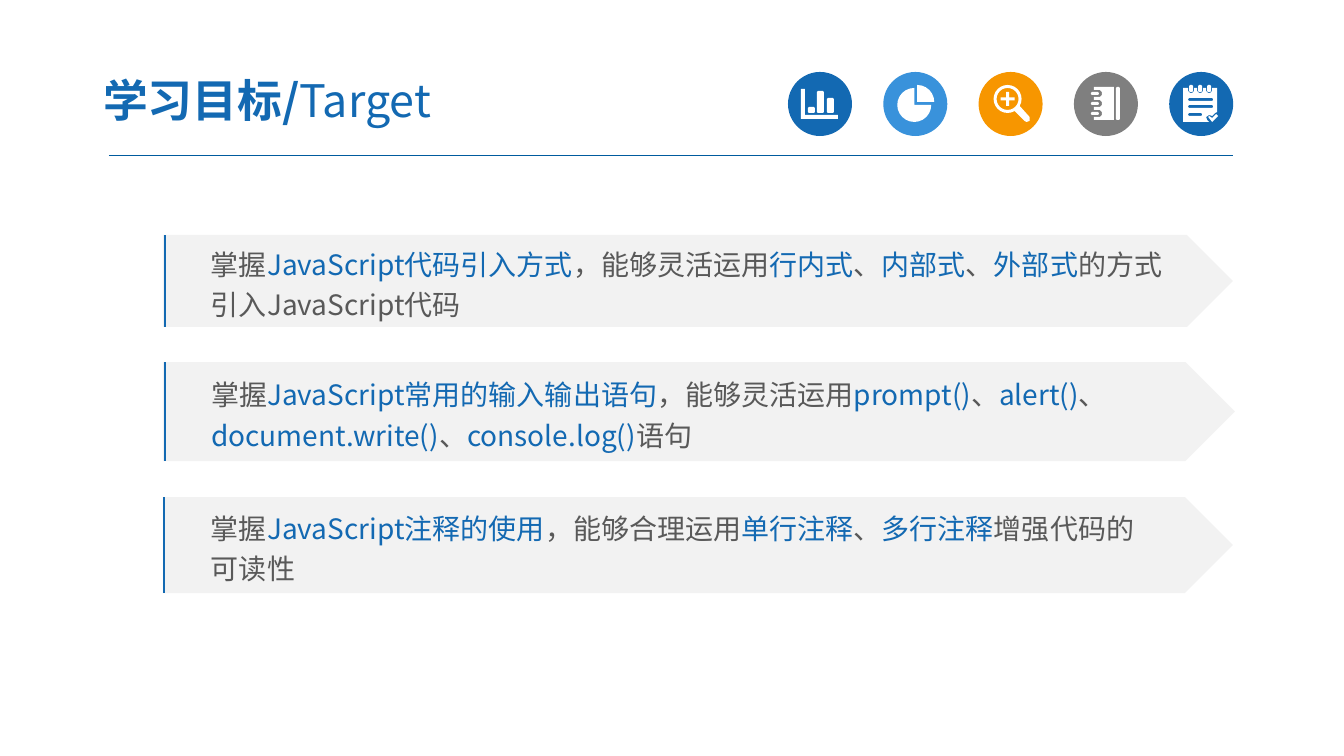
from dataclasses import dataclass
from math import cos, radians, sin

from lxml.etree import SubElement
from pptx import Presentation
from pptx.dml.color import RGBColor
from pptx.enum.shapes import MSO_CONNECTOR, MSO_SHAPE as SHAPE
from pptx.enum.text import MSO_ANCHOR, MSO_AUTO_SIZE, PP_ALIGN
from pptx.oxml.ns import qn
from pptx.util import Emu, Pt


@dataclass(frozen=True)
class Theme:
    font: str = "Noto Sans CJK SC"
    title_size: int = 32
    body_size: int = 20
    blue: str = "1369B2"
    sky: str = "3992DB"
    orange: str = "F79600"
    grey: str = "7F7F7F"
    text: str = "595959"
    banner: str = "F2F2F2"
    white: str = "FFFFFF"
    rule: str = "005B9E"


T = Theme()

# Content: each line alternates between plain and highlighted text
TITLE = ("学习目标/", "Target")
GOALS = [
    # top, width, height, bar x, lines
    (235, 1070, 92, 165, [
        ("掌握", "JavaScript代码引入方式", "，能够灵活运用", "行内式", "、", "内部式",
         "、", "外部式", "的方式"),
        ("引入JavaScript代码",)]),
    (362, 1072, 99, 165, [
        ("掌握", "JavaScript常用的输入输出语句", "，能够灵活运用", "prompt()", "、",
         "alert()", "、"),
        ("", "document.write()", "、", "console.log()", "语句")]),
    (497, 1070, 96, 164, [
        ("掌握", "JavaScript注释的使用", "，能够合理运用", "单行注释", "、", "多行注释",
         "增强代码的"),
        ("可读性",)]),
]
ICON_LEFT, ICON_TOP, ICON_SIZE, ICON_STEP = 788, 72, 64, 95.3


# Outline helpers for the icons, in px inside a badge
def bar(x, y, w, h):
    """Rectangle with its corners cut by one px."""
    r, b = x + w, y + h
    return [(x + 1, y), (r - 1, y), (r, y + 1), (r, b - 1),
            (r - 1, b), (x + 1, b), (x, b - 1), (x, y + 1)]


def arc(x, y, radius, start, end, step=15):
    return [(x + radius * cos(radians(a)), y + radius * sin(radians(a)))
            for a in range(start, end + 1, step)]


def plus(x, y, reach, half):
    corner = [(half, -reach), (half, -half), (reach, -half)]
    points = []
    for _ in range(4):
        points += [(x + dx, y + dy) for dx, dy in corner]
        corner = [(-dy, dx) for dx, dy in corner]
    return points


RINGS = range(3)
CHART = [[(13, 17), (17, 17), (17, 43), (50, 43), (50, 47), (13, 47)],
         bar(20, 35, 7, 6), bar(29, 19, 7, 22), bar(39, 26, 7, 15)]
PIE = [[(31, 33)] + arc(31, 33, 17, 0, 270), [(34, 30)] + arc(34, 30, 17, -90, 0)]
SEARCH = [arc(29, 27, 14, 60, 390) + [(51, 45), (51, 49), (48, 50), (46, 49)],
          arc(29, 27, 11, 0, 345), plus(29, 27, 7, 1.5)]
NOTEBOOK = [
    [(40, 48), (40, 15), (20, 15)] + [
        (x, y + 10 * i) for i in RINGS
        for x, y in ((20, 18), (26, 18), (28, 20), (28, 23), (26, 25), (20, 25))
    ] + [(20, 48)],
    bar(42, 15, 4, 33)] + [bar(17, 20 + 10 * i, 8, 3) for i in RINGS]
CHECKLIST = [
    [(14, 16)] + [
        (x + 9 * i, y) for i in RINGS
        for x, y in ((19, 16), (19, 19), (21, 21), (23, 21), (25, 19), (25, 16))
    ] + [(48, 16), (48, 40), (46, 41), (43, 44), (40, 43), (37, 45), (38, 48),
         (40, 50), (14, 50)],
    bar(19, 26, 25, 3), bar(19, 33, 25, 3), bar(19, 41, 14, 3),
    [(39, 45), (40, 44), (43, 46), (47, 42), (49, 44), (43, 50)],
] + [bar(20 + 9 * i, 13, 4, 7) for i in RINGS]
ICONS = [(T.blue, CHART), (T.sky, PIE), (T.orange, SEARCH),
         (T.grey, NOTEBOOK), (T.blue, CHECKLIST)]


def px(n):
    return Emu(round(n * 914400 / 100.8))


def rgb(code):
    return RGBColor.from_string(code)


def paint(shape, colour):
    shape.shadow.inherit = False
    shape.fill.solid()
    shape.fill.fore_color.rgb = rgb(colour)
    shape.line.fill.background()


def add_block(s, kind, box, colour):
    shape = s.shapes.add_shape(kind, *map(px, box))
    paint(shape, colour)
    return shape


def add_glyph(s, left, top, contours):
    placed = [[(px(left + x), px(top + y)) for x, y in c] for c in contours]
    outline = s.shapes.build_freeform(*placed[0][0])
    for i, points in enumerate(placed):
        if i:
            outline.move_to(*points[0])
        outline.add_line_segments(points[1:], close=True)
    paint(outline.convert_to_shape(), T.white)


def add_line(s, x1, y1, x2, y2, colour, width):
    line = s.shapes.add_connector(MSO_CONNECTOR.STRAIGHT, *map(px, (x1, y1, x2, y2)))
    line.line.color.rgb = rgb(colour)
    line.line.width = Pt(width)
    SubElement(line._element.spPr, qn("a:effectLst"))


def set_frame(tf, left, right, top):
    tf.word_wrap = True
    tf.auto_size = MSO_AUTO_SIZE.NONE
    tf.vertical_anchor = MSO_ANCHOR.MIDDLE
    tf.margin_left, tf.margin_right = px(left), px(right)
    tf.margin_top = tf.margin_bottom = px(top)


def set_font(p, size):
    p.alignment = PP_ALIGN.LEFT
    p.font.name = T.font
    p.font.size = Pt(size)
    SubElement(p._p.pPr.find(qn("a:defRPr")), qn("a:ea"), typeface=T.font)


def add_run(p, text):
    r = p.add_run()
    r.text = text
    return r


prs = Presentation()
prs.slide_width, prs.slide_height = px(1344), px(756)
s = prs.slides.add_slide(prs.slide_layouts[5])

# Title and rule
title = s.shapes.title
title.left, title.top, title.width, title.height = map(px, (90, 63, 526, 73))
set_frame(title.text_frame, 13, 13, 7)
p = title.text_frame.paragraphs[0]
set_font(p, T.title_size)
p.font.color.rgb = rgb(T.blue)
for text, bold in zip(TITLE, (True, False)):
    add_run(p, text).font.bold = bold
add_line(s, 109, 156, 1233, 156, T.rule, 0.75)

# Icon badges
for i, (colour, contours) in enumerate(ICONS):
    left = ICON_LEFT + ICON_STEP * i
    add_block(s, SHAPE.OVAL, (left, ICON_TOP, ICON_SIZE, ICON_SIZE), colour)
    add_glyph(s, left, ICON_TOP, contours)

# Goal banners
for top, width, height, bar_x, lines in GOALS:
    banner = add_block(s, SHAPE.PENTAGON, (163, top, width, height), T.banner)
    tf = banner.text_frame
    set_frame(tf, 48, 10, 5)
    for i, line in enumerate(lines):
        p = tf.add_paragraph() if i else tf.paragraphs[0]
        p.line_spacing = 1.2
        set_font(p, T.body_size)
        for j, text in enumerate(line):
            if text:
                add_run(p, text).font.color.rgb = rgb(T.blue if j % 2 else T.text)
    add_line(s, bar_x, top + height, bar_x, top, T.blue, 1.5)

prs.save("out.pptx")
